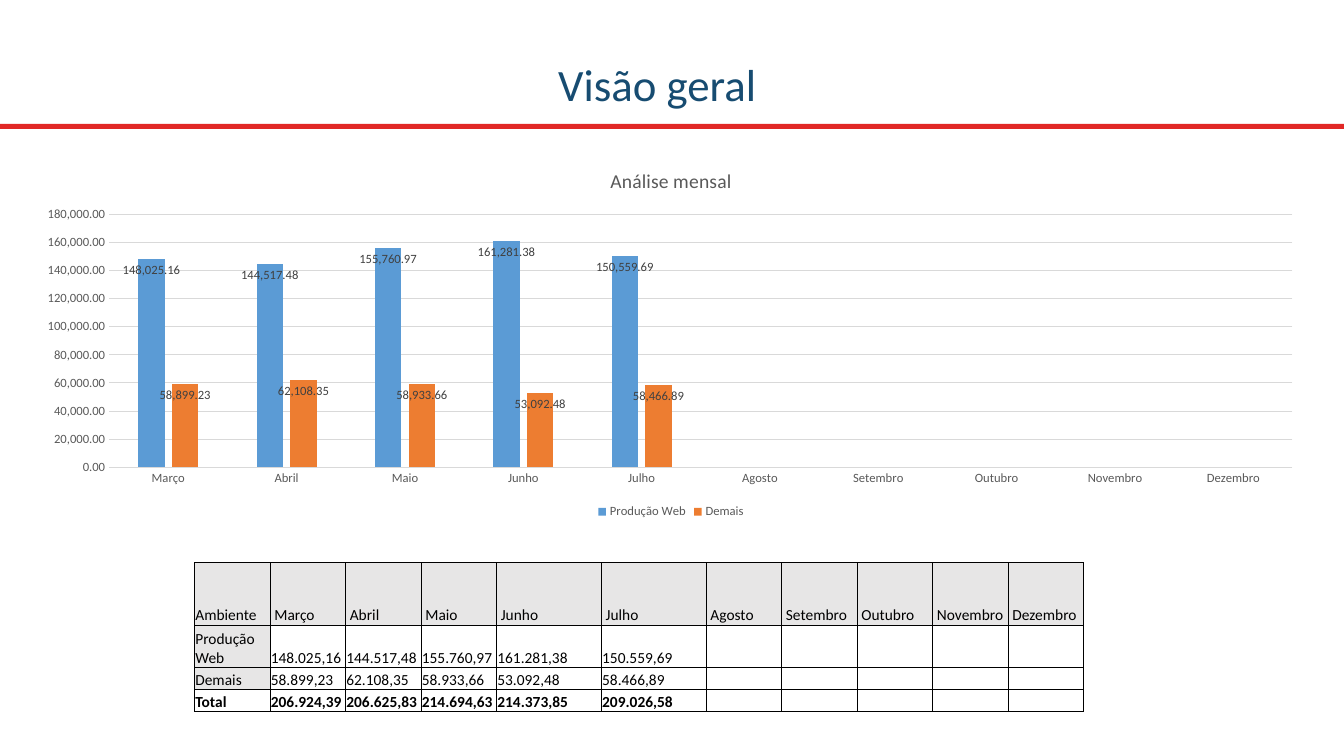
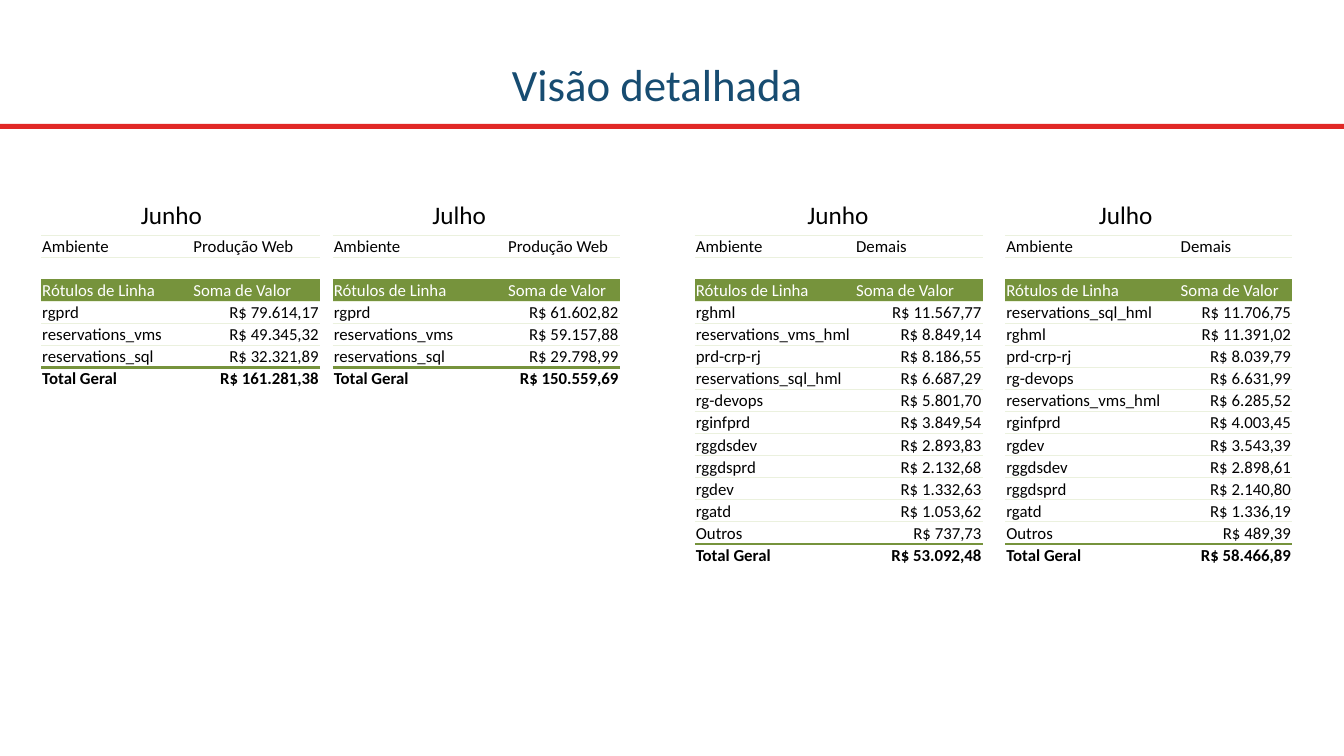
from itertools import accumulate

from lxml.etree import SubElement
from pptx import Presentation
from pptx.chart.data import CategoryChartData
from pptx.dml.color import RGBColor
from pptx.enum.chart import XL_CHART_TYPE, XL_LABEL_POSITION, XL_LEGEND_POSITION, XL_TICK_MARK
from pptx.enum.shapes import MSO_SHAPE
from pptx.enum.text import MSO_ANCHOR, PP_ALIGN
from pptx.oxml import parse_xml
from pptx.oxml.ns import nsdecls, qn
from pptx.util import Inches, Pt

WIDTH, HEIGHT = Inches(13.33), Inches(7.5)
FONT = "Calibri"
NAVY, RED, BLACK, WHITE = "174C71", "E12826", "000000", "FFFFFF"
GRAY, LABEL_GRAY, GRID_GRAY, HEADER_GRAY = "595959", "404040", "D9D9D9", "E7E6E6"
BLUE, ORANGE, GREEN, PALE_GREEN = "5B9BD5", "ED7D31", "76933C", "EBF1DE"
NUMBER_FORMAT = "#,##0.00"

MONTHS = ["Março", "Abril", "Maio", "Junho", "Julho", "Agosto",
          "Setembro", "Outubro", "Novembro", "Dezembro"]
PRODUCTION_NAME, OTHERS_NAME = "Produção Web", "Demais"
PRODUCTION = [148025.16, 144517.48, 155760.97, 161281.38, 150559.69]
OTHERS = [58899.23, 62108.35, 58933.66, 53092.48, 58466.89]
TOTALS = [206924.39, 206625.83, 214694.63, 214373.85, 209026.58]
SERIES = {PRODUCTION_NAME: (PRODUCTION, BLUE), OTHERS_NAME: (OTHERS, ORANGE)}

PRODUCTION_JUNE = [("rgprd", 79614.17), ("reservations_vms", 49345.32),
                   ("reservations_sql", 32321.89)]
PRODUCTION_JULY = [("rgprd", 61602.82), ("reservations_vms", 59157.88),
                   ("reservations_sql", 29798.99)]
OTHERS_JUNE = [
    ("rghml", 11567.77), ("reservations_vms_hml", 8849.14), ("prd-crp-rj", 8186.55),
    ("reservations_sql_hml", 6687.29), ("rg-devops", 5801.70), ("rginfprd", 3849.54),
    ("rggdsdev", 2893.83), ("rggdsprd", 2132.68), ("rgdev", 1332.63),
    ("rgatd", 1053.62), ("Outros", 737.73)]
OTHERS_JULY = [
    ("reservations_sql_hml", 11706.75), ("rghml", 11391.02), ("prd-crp-rj", 8039.79),
    ("rg-devops", 6631.99), ("reservations_vms_hml", 6285.52), ("rginfprd", 4003.45),
    ("rgdev", 3543.39), ("rggdsdev", 2898.61), ("rggdsprd", 2140.80),
    ("rgatd", 1336.19), ("Outros", 489.39)]


def color(code):
    return RGBColor.from_string(code)


def across(percent):
    return round(WIDTH * percent / 100)


def down(percent):
    return round(HEIGHT * percent / 100)


def area(left, top, width, height):
    return across(left), down(top), across(width), down(height)


def style_font(font, size, code, bold=False):
    font.name = FONT
    font.size = Pt(size)
    font.bold = bold
    font.color.rgb = color(code)


def add_run(paragraph, text, size, code, bold=False):
    run = paragraph.add_run()
    run.text = text
    style_font(run.font, size, code, bold)


def add_text(slide, box, text, size, code):
    frame = slide.shapes.add_textbox(*box).text_frame
    frame.word_wrap = True
    paragraph = frame.paragraphs[0]
    add_run(paragraph, text, size, code)
    return frame, paragraph


def add_titled_slide(deck, title):
    slide = deck.slides.add_slide(deck.slide_layouts[6])
    rule = slide.shapes.add_shape(MSO_SHAPE.RECTANGLE, *area(0, 16.4, 100, 0.67))
    rule.shadow.inherit = False
    rule.fill.solid()
    rule.fill.fore_color.rgb = color(RED)
    rule.line.fill.background()
    frame, paragraph = add_text(slide, area(1.65, 5.87, 94.5, 11.33), title, 32, NAVY)
    frame.vertical_anchor = MSO_ANCHOR.MIDDLE
    paragraph.alignment = PP_ALIGN.CENTER
    paragraph.line_spacing = 0.9
    return slide


def brazilian(value):
    return f"{value:,.2f}".translate(str.maketrans(",.", ".,"))


def reais(value):
    return f"R$ {brazilian(value)}"


def set_borders(cell, borders):
    properties = cell._tc.get_or_add_tcPr()
    for side in "LRTB":
        edge = SubElement(properties, qn(f"a:ln{side}"))
        if side in borders:
            code, points = borders[side]
            edge.set("w", str(Pt(points)))
            paint = SubElement(edge, qn("a:solidFill"))
            SubElement(paint, qn("a:srgbClr")).set("val", code)
        else:
            SubElement(edge, qn("a:noFill"))


def fill_cell(cell, text, size, code=BLACK, bold=False, fill=None, borders=(), right=False):
    cell.margin_left = cell.margin_right = cell.margin_top = Inches(0.01)
    cell.margin_bottom = 0
    cell.vertical_anchor = MSO_ANCHOR.BOTTOM
    set_borders(cell, borders)
    if fill:
        cell.fill.solid()
        cell.fill.fore_color.rgb = color(fill)
    else:
        cell.fill.background()
    paragraph = cell.text_frame.paragraphs[0]
    paragraph.alignment = PP_ALIGN.RIGHT if right else PP_ALIGN.LEFT
    if text:
        add_run(paragraph, text, size, code, bold)
    else:
        SubElement(paragraph._p, qn("a:endParaRPr")).set("sz", str(size * 100))


def add_grid(slide, left, top, widths, heights):
    table = slide.shapes.add_table(
        len(heights), len(widths), *area(left, top, sum(widths), sum(heights))).table
    table.first_row = table.horz_banding = False
    for column, width in zip(table.columns, widths):
        column.width = across(width)
    for row, height in zip(table.rows, heights):
        row.height = down(height)
    return table


def add_summary_table(slide):
    rows = [["Ambiente"] + [f" {month}" for month in MONTHS]]
    rows += [[name] + [brazilian(value) for value in values]
             for name, values in [(PRODUCTION_NAME, PRODUCTION), (OTHERS_NAME, OTHERS),
                                  ("Total", TOTALS)]]
    widths = [7.8 if month in ("Junho", "Julho") else 5.62 for month in ["Ambiente"] + MONTHS]
    table = add_grid(slide, 14.46, 74.4, widths, [8.27, 5.6, 2.93, 2.93])
    borders = dict.fromkeys("LRTB", (BLACK, 0.5))
    for r, row in enumerate(rows):
        is_total = row[0] == "Total"
        for c in range(len(widths)):
            shaded = r == 0 or (c == 0 and not is_total)
            fill_cell(table.cell(r, c), row[c] if c < len(row) else "", 11, bold=is_total,
                      fill=HEADER_GRAY if shaded else None, borders=borders)


def add_detail_table(slide, left, widths, environment, entries, total):
    rows = [("Ambiente", environment), ("", ""), ("Rótulos de Linha", "Soma de Valor")]
    rows += [(name, reais(value)) for name, value in entries]
    rows.append(("Total Geral", reais(total)))
    header, last = 2, len(rows) - 1
    thin, thick = (PALE_GREEN, 0.5), (GREEN, 2)
    special = {1: {"T": thin}, header: {"B": thin},
               last - 1: {"T": thin, "B": thick}, last: {"T": thick}}
    table = add_grid(slide, left, 31.07, widths, [2.92] * len(rows))
    for r, row in enumerate(rows):
        for c, text in enumerate(row):
            fill_cell(table.cell(r, c), text, 12,
                      code=WHITE if r == header else BLACK, bold=r == last,
                      fill=GREEN if r == header else None,
                      borders=special.get(r, {"T": thin, "B": thin}),
                      right=c == 1 and r > header)


def place_plot(chart, *percents):
    plot_area = chart._chartSpace.chart.plotArea
    for layout in plot_area.findall(qn("c:layout")):
        plot_area.remove(layout)
    sizes = "".join(f'<c:{tag} val="{percent / 100:.3f}"/>'
                    for tag, percent in zip("xywh", percents))
    plot_area.insert(0, parse_xml(
        f'<c:layout {nsdecls("c")}><c:manualLayout><c:layoutTarget val="inner"/>'
        f'<c:xMode val="edge"/><c:yMode val="edge"/>{sizes}</c:manualLayout></c:layout>'))


def style_axes(chart):
    for axis in (chart.category_axis, chart.value_axis):
        axis.major_tick_mark = axis.minor_tick_mark = XL_TICK_MARK.NONE
        style_font(axis.tick_labels.font, 9, GRAY)
    chart.value_axis.tick_labels.number_format = NUMBER_FORMAT
    chart.value_axis.tick_labels.number_format_is_linked = False
    chart.value_axis.format.line.fill.background()
    for line in (chart.category_axis.format.line, chart.value_axis.major_gridlines.format.line):
        line.color.rgb = color(GRID_GRAY)
        line.width = Pt(0.75)


def add_monthly_chart(slide):
    data = CategoryChartData(number_format=NUMBER_FORMAT)
    data.categories = MONTHS
    for name, (values, _) in SERIES.items():
        data.add_series(name, values + [None] * (len(MONTHS) - len(values)))
    chart = slide.shapes.add_chart(
        XL_CHART_TYPE.COLUMN_CLUSTERED, *area(1.65, 20, 96.55, 49.2), data).chart
    style_font(chart.font, 10, BLACK)
    add_run(chart.chart_title.text_frame.paragraphs[0], "Análise mensal", 14, GRAY)
    chart.chart_title.include_in_layout = False
    chart.has_legend = True
    chart.legend.position = XL_LEGEND_POSITION.BOTTOM
    chart.legend.include_in_layout = False
    style_font(chart.legend.font, 9, GRAY)
    style_axes(chart)
    place_plot(chart, 6.7, 17, 91.2, 68)
    plot = chart.plots[0]
    plot.gap_width, plot.overlap, plot.vary_by_categories = 219, -27, False
    for series, (_, code) in zip(plot.series, SERIES.values()):
        series.format.fill.solid()
        series.format.fill.fore_color.rgb = color(code)
        series.invert_if_negative = False
        labels = series.data_labels
        labels.show_value = True
        labels.position = XL_LABEL_POSITION.INSIDE_END
        labels.number_format = NUMBER_FORMAT
        labels.number_format_is_linked = False
        style_font(labels.font, 9, LABEL_GRAY)


def add_month_pair(slide, environment, lefts, widths, captions_left, entries):
    values = SERIES[environment][0]
    captions = accumulate([captions_left, 21.68])
    for month, left, columns, caption, items in zip(
            ("Junho", "Julho"), lefts, widths, captions, entries):
        add_detail_table(slide, left, columns, environment, items, values[MONTHS.index(month)])
        add_text(slide, area(caption, 25.73, 7, 5.33), month, 18, BLACK)


def main():
    deck = Presentation()
    deck.slide_width, deck.slide_height = WIDTH, HEIGHT

    overview = add_titled_slide(deck, "Visão geral")
    add_monthly_chart(overview)
    add_summary_table(overview)

    detail = add_titled_slide(deck, "Visão detalhada")
    july_widths = (12.98, 8.36)
    add_month_pair(detail, PRODUCTION_NAME, (3.07, 24.76), ((11.25, 9.48), july_widths),
                   9.75, (PRODUCTION_JUNE, PRODUCTION_JULY))
    add_month_pair(detail, OTHERS_NAME, (51.7, 74.8), ((11.93, 9.48), july_widths),
                   59.34, (OTHERS_JUNE, OTHERS_JULY))
    deck.save("out.pptx")


if __name__ == "__main__":
    main()
